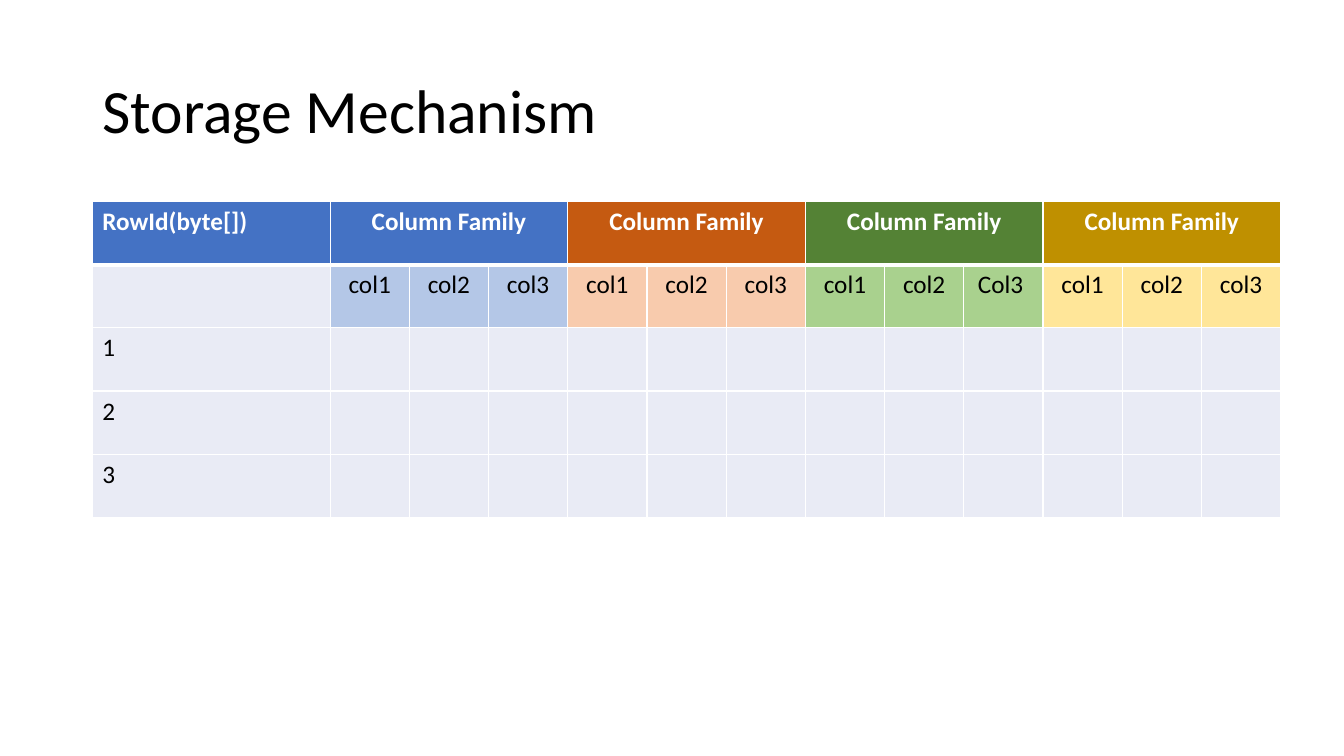
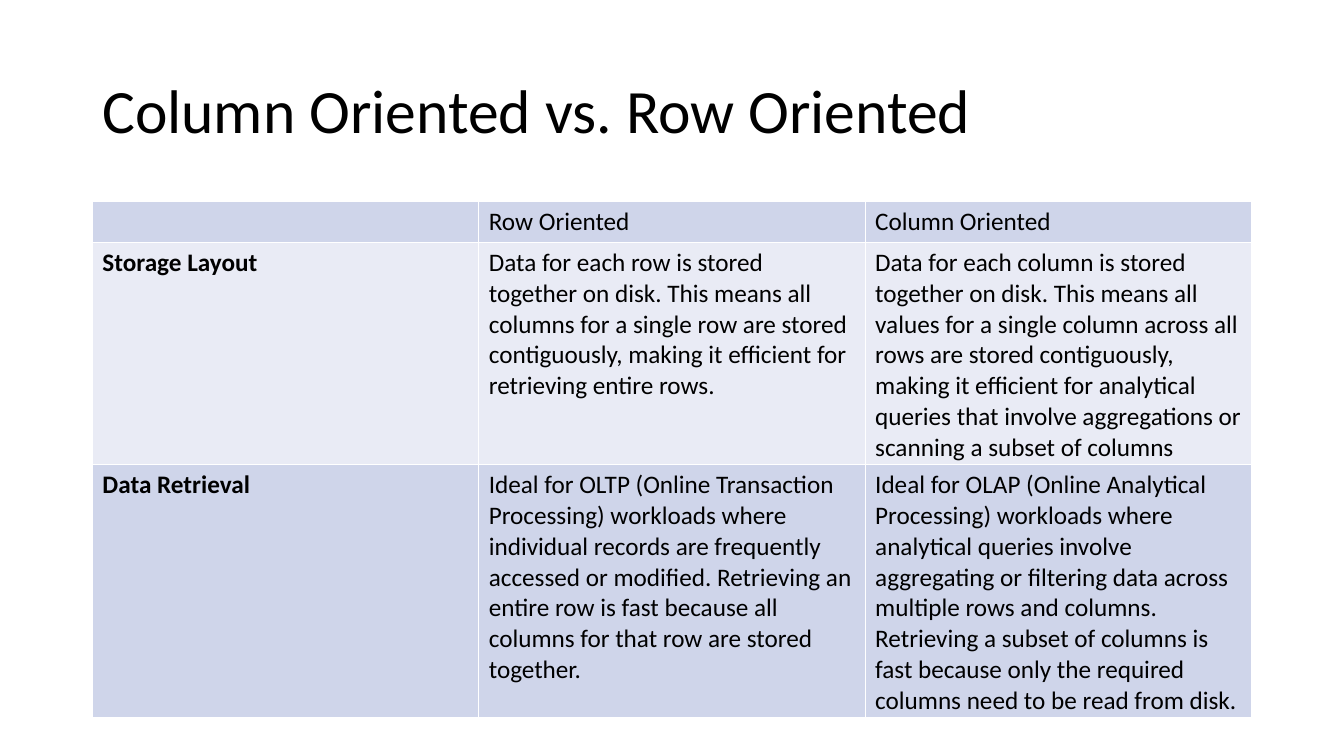
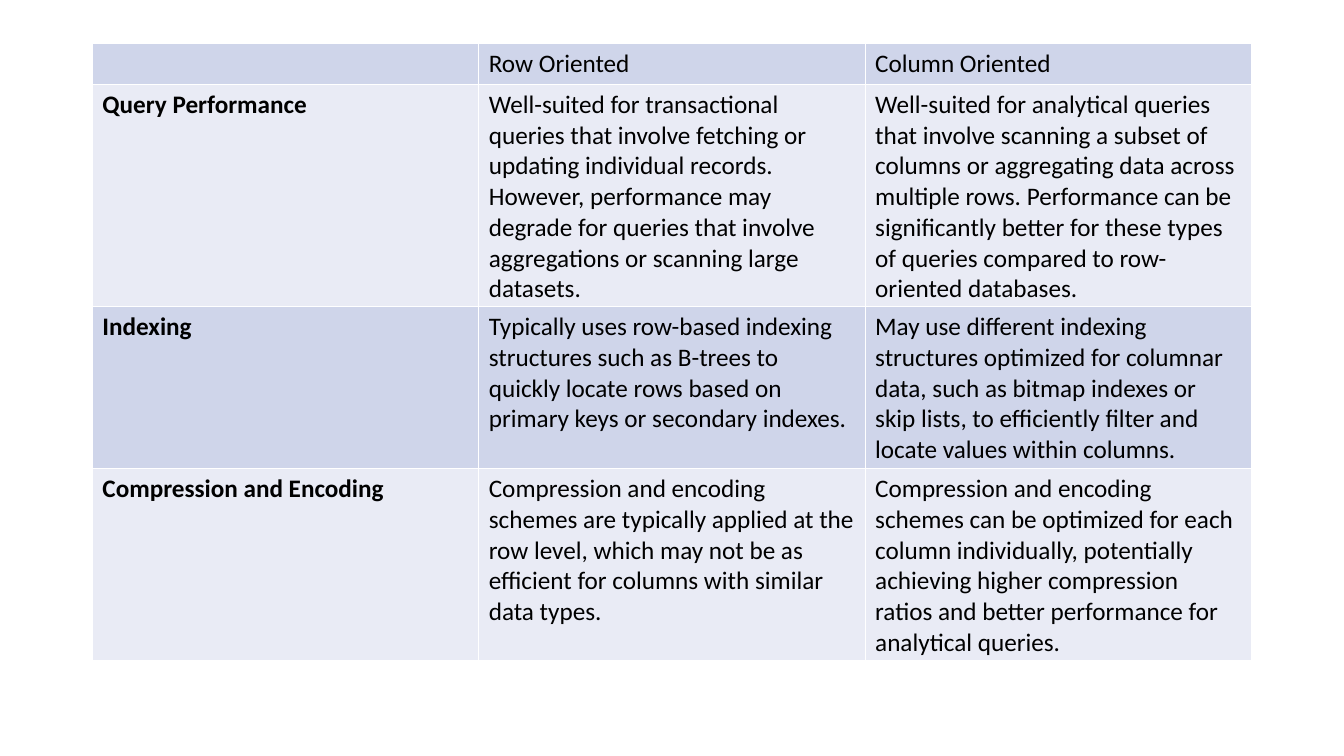
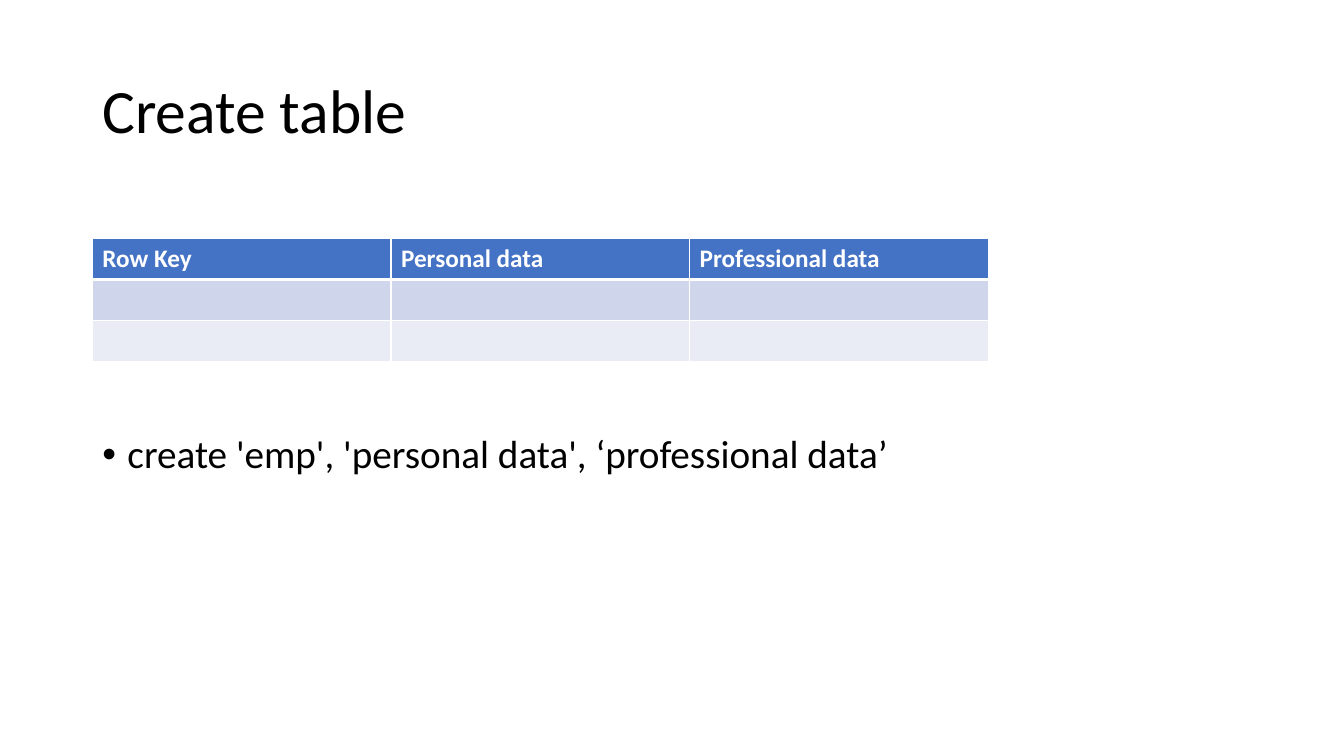
from dataclasses import dataclass
from itertools import product

from lxml.etree import SubElement
from pptx import Presentation
from pptx.dml.color import RGBColor
from pptx.enum.text import MSO_ANCHOR, PP_ALIGN
from pptx.oxml.ns import qn
from pptx.util import Pt


@dataclass(frozen=True)
class Theme:
    font: str = "Calibri"
    ink: str = "000000"
    paper: str = "FFFFFF"
    header: str = "4472C4"
    band_dark: str = "CFD5EA"
    band_light: str = "E9EBF5"
    title_size: float = 44
    body_size: float = 28
    cell_size: float = 18
    margin: float = 66
    content_width: float = 828
    content_top: float = 144
    row_line: float = 21.6
    row_padding: float = 7.6
    rule: float = 1
    header_rule: float = 3


THEME = Theme()
FAMILIES = [
    ("4472C4", "B4C7E7", ("col1", "col2", "col3")),
    ("C55A11", "F8CBAD", ("col1", "col2", "col3")),
    ("548235", "A9D18E", ("col1", "col2", "Col3 ")),
    ("BF9000", "FFE699", ("col1", "col2", "col3")),
]
ORIENTATIONS = ["", "Row Oriented", "Column Oriented"]
LAYOUT_AND_RETRIEVAL = [
    ORIENTATIONS,
    ["Storage Layout",
     "Data for each row is stored together on disk. This means all columns for a single row "
     "are stored contiguously, making it efficient for retrieving entire rows.",
     "Data for each column is stored together on disk. This means all values for a single "
     "column across all rows are stored contiguously, making it efficient for analytical "
     "queries that involve aggregations or scanning a subset of columns"],
    ["Data Retrieval",
     "Ideal for OLTP (Online Transaction Processing) workloads where individual records are "
     "frequently accessed or modified. Retrieving an entire row is fast because all columns "
     "for that row are stored together.",
     "Ideal for OLAP (Online Analytical Processing) workloads where analytical queries involve "
     "aggregating or filtering data across multiple rows and columns. Retrieving a subset of "
     "columns is fast because only the required columns need to be read from disk."],
]
QUERIES_AND_ENCODING = [
    ORIENTATIONS,
    ["Query Performance",
     "Well-suited for transactional queries that involve fetching or updating individual "
     "records. However, performance may degrade for queries that involve aggregations or "
     "scanning large datasets.",
     "Well-suited for analytical queries that involve scanning a subset of columns or "
     "aggregating data across multiple rows. Performance can be significantly better for "
     "these types of queries compared to row-oriented databases."],
    ["Indexing",
     "Typically uses row-based indexing structures such as B-trees to quickly locate rows "
     "based on primary keys or secondary indexes.",
     "May use different indexing structures optimized for columnar data, such as bitmap "
     "indexes or skip lists, to efficiently filter and locate values within columns."],
    ["Compression and Encoding",
     "Compression and encoding schemes are typically applied at the row level, which may not "
     "be as efficient for columns with similar data types.",
     "Compression and encoding schemes can be optimized for each column individually, "
     "potentially achieving higher compression ratios and better performance for analytical "
     "queries."],
]


def apply_format(target, values):
    for attribute, value in values.items():
        setattr(target, attribute, value)


def write(paragraph, text, size, color=THEME.ink, bold=False):
    run = paragraph.add_run()
    run.text = text
    apply_format(run.font, {"name": THEME.font, "size": Pt(size), "bold": bold})
    run.font.color.rgb = RGBColor.from_string(color)


def add_line(slide, text, top, height, size, anchor):
    frame = slide.shapes.add_textbox(
        Pt(THEME.margin), Pt(top), Pt(THEME.content_width), Pt(height)).text_frame
    apply_format(frame, {"word_wrap": True, "vertical_anchor": anchor})
    paragraph = frame.paragraphs[0]
    paragraph.line_spacing = 0.9
    write(paragraph, text, size)
    return paragraph


def add_title(slide, text):
    add_line(slide, text, 28.8, 104.4, THEME.title_size, MSO_ANCHOR.MIDDLE)


def add_bullet(slide, text, top, height):
    properties = add_line(
        slide, text, top, height, THEME.body_size, MSO_ANCHOR.TOP)._p.get_or_add_pPr()
    properties.set("marL", str(Pt(18)))
    properties.set("indent", str(Pt(-18)))
    SubElement(properties, qn("a:buFont"), typeface="Arial")
    SubElement(properties, qn("a:buChar"), char="•")


def rule_cell(cell, top, bottom):
    properties = cell._tc.get_or_add_tcPr()
    widths = {"lnL": THEME.rule, "lnR": THEME.rule, "lnT": top, "lnB": bottom}
    for side, width in widths.items():
        edge = SubElement(properties, qn(f"a:{side}"), w=str(Pt(width)))
        SubElement(SubElement(edge, qn("a:solidFill")), qn("a:srgbClr"), val=THEME.paper)


def fill_cell(cell, text, fill, color=THEME.ink, bold=False, align=PP_ALIGN.LEFT):
    cell.fill.solid()
    cell.fill.fore_color.rgb = RGBColor.from_string(fill)
    if text:
        paragraph = cell.text_frame.paragraphs[0]
        paragraph.alignment = align
        write(paragraph, text, THEME.cell_size, color, bold)


def add_grid(slide, top, widths, heights, has_header):
    table = slide.shapes.add_table(
        len(heights), len(widths), Pt(THEME.margin), Pt(top),
        Pt(sum(widths)), Pt(sum(heights))).table
    apply_format(table, {"first_row": has_header, "horz_banding": False})
    for column, width in zip(table.columns, widths):
        column.width = Pt(width)
    for row, height in zip(table.rows, heights):
        row.height = Pt(height)
    header_rule = THEME.header_rule if has_header else THEME.rule
    for row, column in product(range(len(heights)), range(len(widths))):
        rule_cell(table.cell(row, column),
                  header_rule if row == 1 else THEME.rule,
                  header_rule if row == 0 else THEME.rule)
    return table


def row_heights(line_counts):
    return [THEME.row_padding + THEME.row_line * count for count in line_counts]


def add_family_table(slide):
    unit = 56.6
    columns_per_family = 3
    widths = [3 * unit] + [unit] * columns_per_family * len(FAMILIES)
    table = add_grid(slide, THEME.content_top, widths, [45.1] * 5, True)
    header_style = {"color": THEME.paper, "bold": True}
    for row, label in enumerate(["RowId(byte[])", "", "1", "2", "3"]):
        if row == 0:
            fill_cell(table.cell(row, 0), label, THEME.header, **header_style)
        else:
            fill_cell(table.cell(row, 0), label, THEME.band_light)
    for index, (strong, pale, names) in enumerate(FAMILIES):
        first = 1 + index * columns_per_family
        family = table.cell(0, first)
        family.merge(table.cell(0, first + columns_per_family - 1))
        fill_cell(family, "Column Family", strong, align=PP_ALIGN.CENTER, **header_style)
        for column, name in enumerate(names, first):
            fill_cell(table.cell(1, column), name, pale, align=PP_ALIGN.CENTER)
            for row in range(2, 5):
                fill_cell(table.cell(row, column), "", THEME.band_light)


def add_comparison(slide, top, rows, line_counts):
    widths = [THEME.content_width / 3] * 3
    table = add_grid(slide, top, widths, row_heights(line_counts), False)
    for row, texts in enumerate(rows):
        band = THEME.band_light if row % 2 else THEME.band_dark
        for column, text in enumerate(texts):
            fill_cell(table.cell(row, column), text, band, bold=column == 0)


def add_record_table(slide):
    headings = ["Row Key", "Personal data", "Professional data"]
    table = add_grid(slide, 170.5, [213.3] * 3, row_heights([1] * 3), True)
    for column, heading in enumerate(headings):
        fill_cell(table.cell(0, column), heading, THEME.header, THEME.paper, True)
        for row, band in enumerate([THEME.band_dark, THEME.band_light], 1):
            fill_cell(table.cell(row, column), "", band)


def main():
    deck = Presentation()
    apply_format(deck, {"slide_width": Pt(960), "slide_height": Pt(540)})
    storage, orientation, orientation_more, creation = [
        deck.slides.add_slide(deck.slide_layouts[6]) for _ in range(4)]

    add_title(storage, "Storage Mechanism")
    add_family_table(storage)

    add_title(orientation, "Column Oriented vs. Row Oriented")
    add_comparison(orientation, THEME.content_top, LAYOUT_AND_RETRIEVAL, [1, 7, 8])

    add_comparison(orientation_more, 31, QUERIES_AND_ENCODING, [1, 7, 5, 6])

    add_title(creation, "Create table")
    add_bullet(creation, "create 'emp', 'personal data', ‘professional data’", 307.2, 179.5)
    add_record_table(creation)

    deck.save("out.pptx")


if __name__ == "__main__":
    main()
